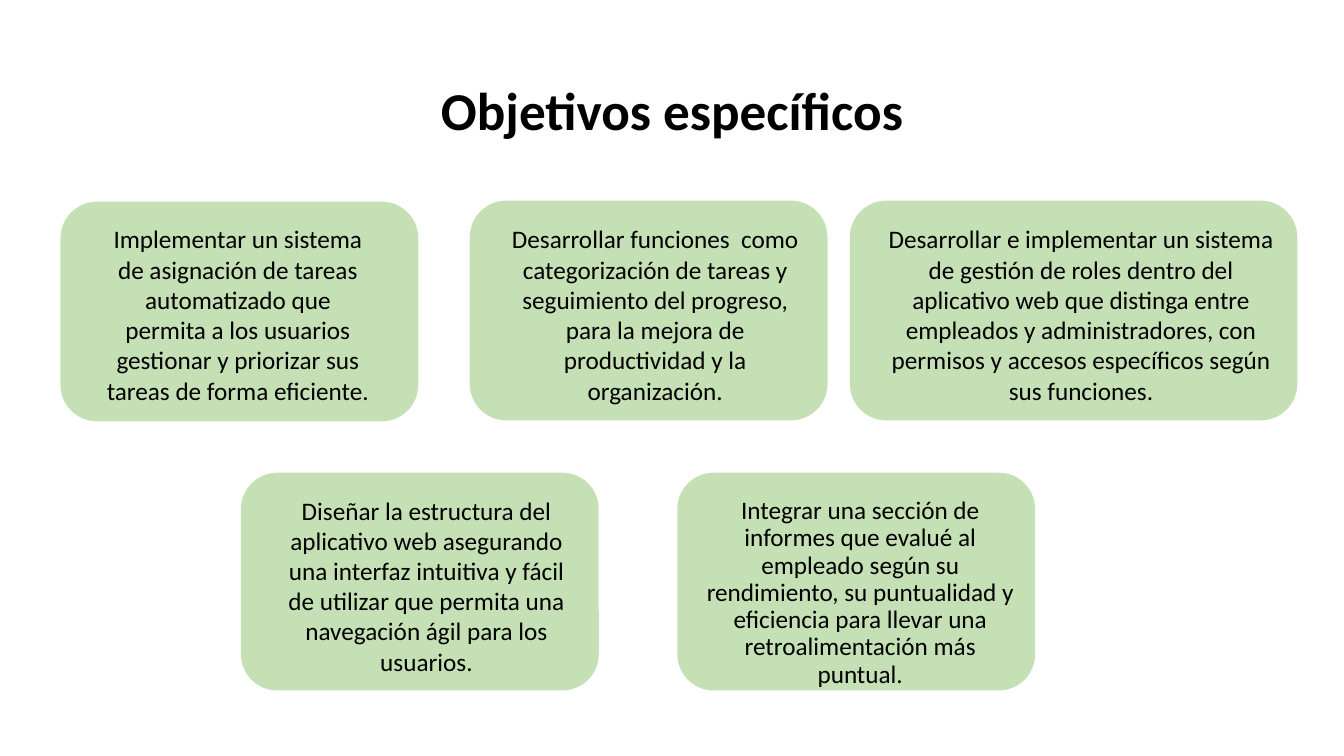
from dataclasses import dataclass

from lxml import etree
from pptx import Presentation
from pptx.dml.color import RGBColor
from pptx.enum.shapes import MSO_SHAPE
from pptx.enum.text import MSO_ANCHOR, MSO_AUTO_SIZE, PP_ALIGN
from pptx.oxml.ns import qn
from pptx.util import Pt

ROUNDED = MSO_SHAPE.ROUNDED_RECTANGLE
CENTER = PP_ALIGN.CENTER
TOP, MIDDLE = MSO_ANCHOR.TOP, MSO_ANCHOR.MIDDLE
NO_FIT = MSO_AUTO_SIZE.NONE


@dataclass(frozen=True)
class Theme:
    font: str = "Calibri"
    ink: RGBColor = RGBColor(0x00, 0x00, 0x00)
    card: RGBColor = RGBColor(0xC5, 0xE0, 0xB4)
    title_size: int = 38
    text_size: int = 18


class SlideBuilder:
    def __init__(self, slide, theme):
        self.slide = slide
        self.theme = theme

    def set_text(self, sp, text, size, bold=False, anchor=TOP, spacing=None):
        tf = sp.text_frame
        tf.word_wrap = True
        tf.auto_size = NO_FIT
        tf.vertical_anchor = anchor
        p = tf.paragraphs[0]
        p.alignment = CENTER
        p.space_before = Pt(0)
        if spacing:
            p.line_spacing = spacing
        r = p.add_run()
        r.text = text
        r.font.name = self.theme.font
        r.font.size = Pt(size)
        r.font.bold = bold
        r.font.color.rgb = self.theme.ink
        return p

    def place(self, sp, box):
        sp.left, sp.top, sp.width, sp.height = (Pt(v) for v in box)

    def title(self, text, box):
        sp = self.slide.shapes.title
        self.place(sp, box)
        self.set_text(sp, text, self.theme.title_size, True, MIDDLE, 0.9)

    def card(self, box):
        sp = self.slide.shapes.add_shape(ROUNDED, *(Pt(v) for v in box))
        sp.shadow.inherit = False
        sp.fill.solid()
        sp.fill.fore_color.rgb = self.theme.card
        sp.line.fill.background()

    def label(self, text, box):
        sp = self.slide.shapes.add_textbox(*(Pt(v) for v in box))
        self.set_text(sp, text, self.theme.text_size)

    def body(self, text, box):
        """Fill the body placeholder, unbulleted, in front of the cards."""
        sp = self.slide.placeholders[1]
        self.place(sp, box)
        p = self.set_text(sp, text, self.theme.text_size, spacing=0.9)
        pPr = p._p.get_or_add_pPr()
        pPr.set("marL", "0")
        pPr.set("indent", "0")
        etree.SubElement(pPr, qn("a:buNone"))
        self.slide.shapes._spTree.append(sp._element)


CARD_W = 255.6
ROW_1, ROW_1_H = 143.3, 157
ROW_2, ROW_2_H = 337.7, 155.5
LABEL_H = 138.2
LABEL_1, LABEL_2 = 156.2, 349.9

# card left, top, width, height; label left, top, width; text
OBJECTIVES = [
    (43.2, 144, CARD_W, ROW_1_H, 66.2, LABEL_1, 207.4,
     "Implementar un sistema de asignación de tareas automatizado que permita "
     "a los usuarios gestionar y priorizar sus tareas de forma eficiente."),
    (335.5, ROW_1, CARD_W, ROW_1_H, 357.1, LABEL_1, 221.8,
     "Desarrollar funciones  como categorización de tareas y seguimiento del "
     "progreso, para la mejora de productividad y la organización."),
    (607, ROW_1, 319.7, ROW_1_H, 627.1, LABEL_1, 290.2,
     "Desarrollar e implementar un sistema de gestión de roles dentro del "
     "aplicativo web que distinga entre empleados y administradores, con "
     "permisos y accesos específicos según sus funciones."),
    (172.1, ROW_2, CARD_W, ROW_2_H, 193.7, LABEL_2, 221.8,
     "Diseñar la estructura del aplicativo web asegurando una interfaz "
     "intuitiva y fácil de utilizar que permita una navegación ágil para los "
     "usuarios."),
]
REPORTS = ("Integrar una sección de informes que evalué al empleado según su "
           "rendimiento, su puntualidad y eficiencia para llevar una "
           "retroalimentación más puntual.")


def main():
    prs = Presentation()
    prs.slide_width, prs.slide_height = Pt(960), Pt(540)
    s = SlideBuilder(prs.slides.add_slide(prs.slide_layouts[1]), Theme())

    s.title("Objetivos específicos", (66.2, 28.8, 828, 104.4))
    for left, top, width, height, text_left, text_top, text_width, text in OBJECTIVES:
        s.card((left, top, width, height))
        s.label(text, (text_left, text_top, text_width, LABEL_H))
    s.card((483.8, ROW_2, CARD_W, ROW_2_H))
    s.body(REPORTS, (496.8, 352.1, 235.4, 131.8))

    prs.save("out.pptx")


if __name__ == "__main__":
    main()
